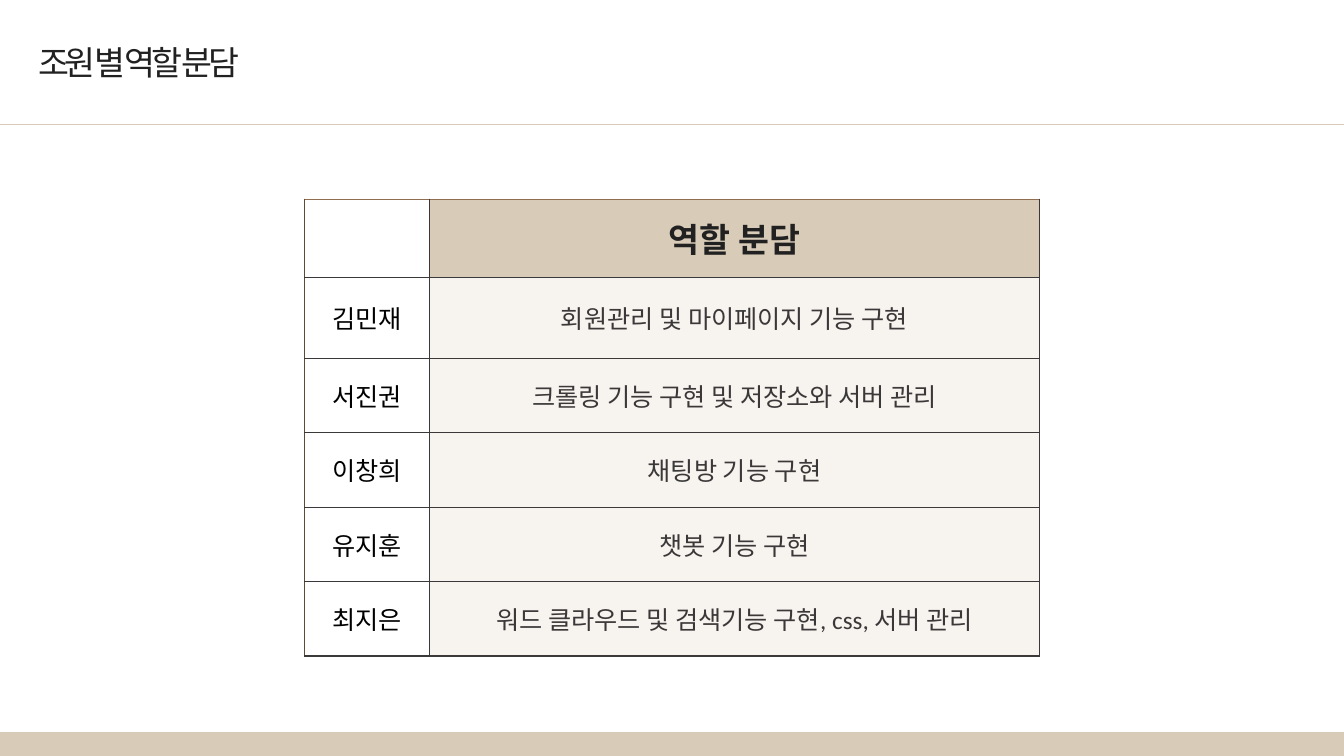
import pptx
import pptx.dml.color
import pptx.enum.shapes
import pptx.enum.text
import pptx.oxml.ns
import pptx.util
from lxml import etree

Inches, Pt = pptx.util.Inches, pptx.util.Pt
RGBColor = pptx.dml.color.RGBColor
qn = pptx.oxml.ns.qn

TITLE = "조원 별 역할 분담"
ROWS = [
    ("", "역할 분담"),
    ("김민재", "회원관리 및 마이페이지 기능 구현"),
    ("서진권", "크롤링 기능 구현 및 저장소와 서버 관리"),
    ("이창희", "채팅방 기능 구현"),
    ("유지훈", "챗봇 기능 구현"),
    ("최지은", "워드 클라우드 및 검색기능 구현, css, 서버 관리"),
]
COLUMN_WIDTHS = (1.24, 6.05)
ROW_HEIGHTS = (0.77, 0.8, 0.74, 0.74, 0.74, 0.74)
SLIDE_WIDTH, SLIDE_HEIGHT = 13.33, 7.5
FOOTER_HEIGHT, RULE_Y = 0.23, 1.23

BEIGE = RGBColor(0xD8, 0xCB, 0xB8)
CREAM = RGBColor(0xF7, 0xF3, 0xEF)
WHITE = RGBColor(0xFF, 0xFF, 0xFF)
BLACK = RGBColor(0x00, 0x00, 0x00)
INK = RGBColor(0x21, 0x21, 0x21)
GREY = RGBColor(0x3A, 0x38, 0x38)
BROWN = RGBColor(0x5F, 0x49, 0x34)
TAN = RGBColor(0x8F, 0x6D, 0x4E)

HEADING = {"size": Pt(24), "name": "Arial"}
HEADER_CELL = {**HEADING, "bold": True}
BODY = {"size": Pt(18), "bold": False}


def write(frame, text, color, font_format):
    para = frame.paragraphs[0]
    span = para.add_run()
    span.text = text
    for key, value in font_format.items():
        setattr(span.font, key, value)
    span.font.color.rgb = color
    return para, span


def set_borders(cell, borders):
    """Draw cell sides from (tag, colour, points) in left, right, top, bottom order."""
    properties = cell._tc.get_or_add_tcPr()
    for index, (tag, color, points) in enumerate(borders):
        side = etree.Element(qn(f"a:{tag}"), w=str(int(Pt(points))))
        fill = etree.SubElement(side, qn("a:solidFill"))
        etree.SubElement(fill, qn("a:srgbClr"), val=str(color))
        properties.insert(index, side)


def add_frame(page):
    footer = page.shapes.add_shape(
        pptx.enum.shapes.MSO_SHAPE.RECTANGLE, 0, Inches(SLIDE_HEIGHT - FOOTER_HEIGHT),
        Inches(SLIDE_WIDTH), Inches(FOOTER_HEIGHT))
    footer.shadow.inherit = False
    footer.fill.solid()
    footer.fill.fore_color.rgb = BEIGE
    rule = page.shapes.add_connector(
        pptx.enum.shapes.MSO_CONNECTOR.STRAIGHT, 0, Inches(RULE_Y),
        Inches(SLIDE_WIDTH), Inches(RULE_Y))
    etree.SubElement(rule._element.spPr, qn("a:effectLst"))
    for shape, points in ((footer, 1), (rule, 0.5)):
        shape.line.color.rgb = BEIGE
        shape.line.width = Pt(points)


def add_title(page):
    box = page.shapes.add_textbox(Inches(0.28), Inches(0.37), Inches(2.42), Inches(0.5))
    box.text_frame.word_wrap = False
    box.text_frame.auto_size = pptx.enum.text.MSO_AUTO_SIZE.SHAPE_TO_FIT_TEXT
    _, span = write(box.text_frame, TITLE, INK, HEADING)
    span._r.get_or_add_rPr().set("spc", "-300")


def add_roles(page):
    table = page.shapes.add_table(
        len(ROWS), len(COLUMN_WIDTHS), Inches(3.02), Inches(1.98),
        Inches(sum(COLUMN_WIDTHS)), Inches(sum(ROW_HEIGHTS))).table
    table.first_row = table.horz_banding = False
    for column, width in zip(table.columns, COLUMN_WIDTHS):
        column.width = Inches(width)
    last = len(ROWS) - 1
    for r, texts in enumerate(ROWS):
        table.rows[r].height = Inches(ROW_HEIGHTS[r])
        for c, text in enumerate(texts):
            cell = table.cell(r, c)
            cell.vertical_anchor = pptx.enum.text.MSO_ANCHOR.MIDDLE
            cell.fill.solid()
            cell.fill.fore_color.rgb = WHITE if c == 0 else BEIGE if r == 0 else CREAM
            if text:
                color = BLACK if c == 0 else INK if r == 0 else GREY
                para, _ = write(cell.text_frame, text, color, BODY if r else HEADER_CELL)
                para.alignment = pptx.enum.text.PP_ALIGN.CENTER
            set_borders(cell, [
                ("lnL", GREY if c else BROWN, 0.25),
                ("lnR", GREY, 0.25),
                ("lnT", GREY if r else TAN, 0.25 if r else 1.5),
                ("lnB", GREY, 1.5 if r == last else 0.25),
            ])


def main():
    deck = pptx.Presentation()
    deck.slide_width, deck.slide_height = Inches(SLIDE_WIDTH), Inches(SLIDE_HEIGHT)
    page = deck.slides.add_slide(deck.slide_layouts[6])
    add_frame(page)
    add_title(page)
    add_roles(page)
    deck.save("out.pptx")


if __name__ == "__main__":
    main()
